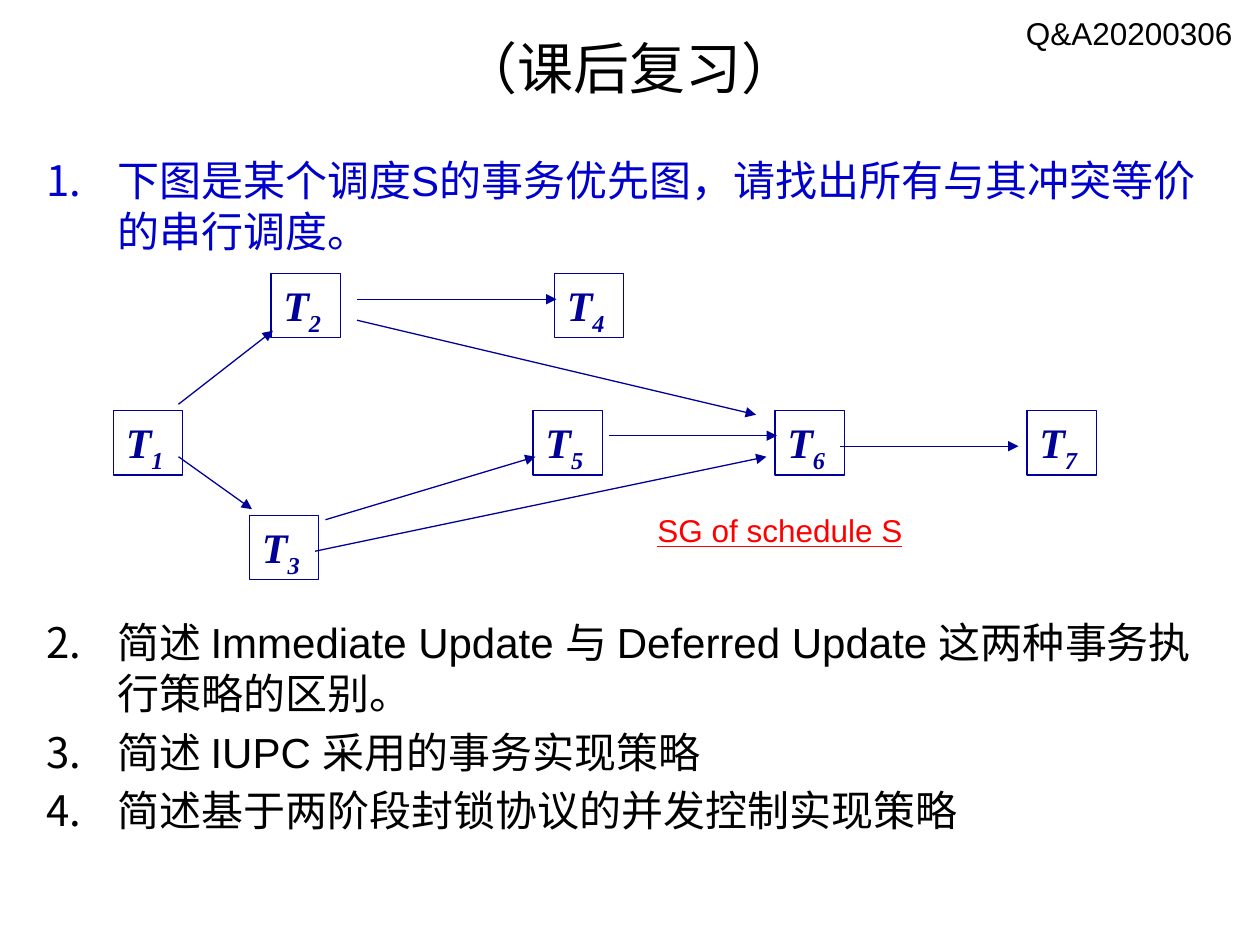
"""Build a review slide with a precedence graph and numbered questions."""
from dataclasses import dataclass

import pptx
import pptx.dml.color
import pptx.enum.shapes
import pptx.enum.text
import pptx.oxml
import pptx.oxml.ns
import pptx.presentation
import pptx.shapes.base
import pptx.slide
import pptx.text.text
import pptx.util

Pt = pptx.util.Pt
Align = pptx.enum.text.PP_ALIGN
Anchor = pptx.enum.text.MSO_ANCHOR
COLORS = {"text": "000000", "question": "0000CC", "graph": "000099", "caption": "FF0000"}
NODE_WIDTH, NODE_HEIGHT = 39.6, 36.7
INDENT = 40.5


@dataclass(frozen=True)
class Node:
    number: int
    left: float
    top: float


@dataclass(frozen=True)
class Arrow:
    start: tuple[float, float]
    end: tuple[float, float]


@dataclass(frozen=True)
class Label:
    text: str
    box: tuple[float, float, float, float]
    size: float
    color: str = "text"
    align: Align = Align.LEFT
    anchor: Anchor = Anchor.TOP
    underline: bool = False


@dataclass(frozen=True)
class Questions:
    first: int
    texts: tuple[str, ...]
    box: tuple[float, float, float, float]
    color: str


LABELS = (
    Label("（课后复习）", (36, 15.1, 648, 46.1), 32, align=Align.CENTER, anchor=Anchor.MIDDLE),
    Label("Q&A20200306", (571.7, 4.3, 139.7, 28.8), 18, align=Align.RIGHT),
    Label("SG of schedule S", (368.6, 288.7, 219.6, 36), 18, "caption", underline=True),
)
QUESTIONS = (
    Questions(1, ("下图是某个调度S的事务优先图，请找出所有与其冲突等价的串行调度。",),
              (19.4, 85, 676.8, 70), "question"),
    Questions(2, ("简述 Immediate Update 与 Deferred Update 这两种事务执行策略的区别。",
                  "简述 IUPC 采用的事务实现策略",
                  "简述基于两阶段封锁协议的并发控制实现策略"),
              (19.4, 349, 676.8, 144), "text"),
)
UPPER, MIDDLE, LOWER = 156.2, 234.7, 294.5
NODES = (
    Node(1, 64.8, MIDDLE), Node(2, 154.8, UPPER), Node(3, 142.6, LOWER), Node(4, 316.8, UPPER),
    Node(5, 304.6, MIDDLE), Node(6, 442.8, MIDDLE), Node(7, 586.8, MIDDLE),
)
ARROWS = (
    Arrow((102, 231), (156, 189)),
    Arrow((204, 171), (318, 171)),
    Arrow((102, 261), (144, 291)),
    Arrow((180, 315), (438, 261)),
    Arrow((480, 255), (582, 255)),
    Arrow((348, 249), (444, 249)),
    Arrow((204, 183), (432, 237)),
    Arrow((186, 297), (306, 261)),
)


def color(name: str) -> pptx.dml.color.RGBColor:
    """Look up a named colour."""
    return pptx.dml.color.RGBColor.from_string(COLORS[name])


def add_run(paragraph: pptx.text.text._Paragraph, text: str, size: float, color_name: str,
            font_name: str = "Arial") -> pptx.text.text._Run:
    """Add one formatted run."""
    run = paragraph.add_run()
    run.text = text
    run.font.name = font_name
    run.font.size = Pt(size)
    run.font.color.rgb = color(color_name)
    return run


def add_text_box(slide: pptx.slide.Slide,
                 box: tuple[float, float, float, float]) -> pptx.text.text.TextFrame:
    """Add a wrapping text box."""
    frame = slide.shapes.add_textbox(*map(Pt, box)).text_frame
    frame.word_wrap = True
    return frame


def add_label(slide: pptx.slide.Slide, label: Label) -> None:
    """Add a single line of text."""
    frame = add_text_box(slide, label.box)
    frame.vertical_anchor = label.anchor
    paragraph = frame.paragraphs[0]
    paragraph.alignment = label.align
    run = add_run(paragraph, label.text, label.size, label.color)
    if label.underline:
        run.font.underline = True


def add_questions(slide: pptx.slide.Slide, questions: Questions) -> None:
    """Add automatically numbered questions."""
    frame = add_text_box(slide, questions.box)
    for index, text in enumerate(questions.texts):
        paragraph = frame.add_paragraph() if index else frame.paragraphs[0]
        paragraph.space_before = Pt(4.8)
        properties = paragraph._p.get_or_add_pPr()
        properties.set("marL", str(Pt(INDENT)))
        properties.set("indent", str(-Pt(INDENT)))
        numbering = pptx.oxml.parse_xml(
            f'<a:buAutoNum {pptx.oxml.ns.nsdecls("a")} type="arabicPeriod" '
            f'startAt="{questions.first}"/>')
        properties.append(numbering)
        add_run(paragraph, text, 24, questions.color)


def add_node(slide: pptx.slide.Slide, node: Node) -> None:
    """Add a boxed transaction name with its subscript."""
    shape = slide.shapes.add_shape(
        pptx.enum.shapes.MSO_SHAPE.RECTANGLE,
        Pt(node.left), Pt(node.top), Pt(NODE_WIDTH), Pt(NODE_HEIGHT))
    shape.shadow.inherit = False
    shape.fill.background()
    shape.line.color.rgb = color("graph")
    shape.line.width = Pt(0.75)
    frame = shape.text_frame
    frame.word_wrap = False
    frame.vertical_anchor = Anchor.TOP
    paragraph = frame.paragraphs[0]
    paragraph.alignment = Align.LEFT
    for text in ("T", str(node.number)):
        run = add_run(paragraph, text, 24, "graph", "Times New Roman")
        run.font.bold = run.font.italic = True
    run._r.get_or_add_rPr().set("baseline", "-25000")


def add_arrow(slide: pptx.slide.Slide, arrow: Arrow) -> None:
    """Add a precedence arrow."""
    connector = slide.shapes.add_connector(
        pptx.enum.shapes.MSO_CONNECTOR.STRAIGHT, *map(Pt, arrow.start + arrow.end))
    connector.line.color.rgb = color("graph")
    connector.line.width = Pt(0.75)
    namespace = pptx.oxml.ns.nsdecls("a")
    connector.line._get_or_add_ln().append(
        pptx.oxml.parse_xml(f'<a:tailEnd {namespace} type="triangle"/>'))
    connector._element.spPr.append(pptx.oxml.parse_xml(f"<a:effectLst {namespace}/>"))


def build_slide(presentation: pptx.presentation.Presentation) -> None:
    """Draw every part of the slide."""
    slide = presentation.slides.add_slide(presentation.slide_layouts[6])
    for questions in QUESTIONS:
        add_questions(slide, questions)
    for node in NODES:
        add_node(slide, node)
    for arrow in ARROWS:
        add_arrow(slide, arrow)
    for label in LABELS:
        add_label(slide, label)


presentation = pptx.Presentation()
presentation.slide_width, presentation.slide_height = Pt(720), Pt(540)
build_slide(presentation)
presentation.save("out.pptx")
